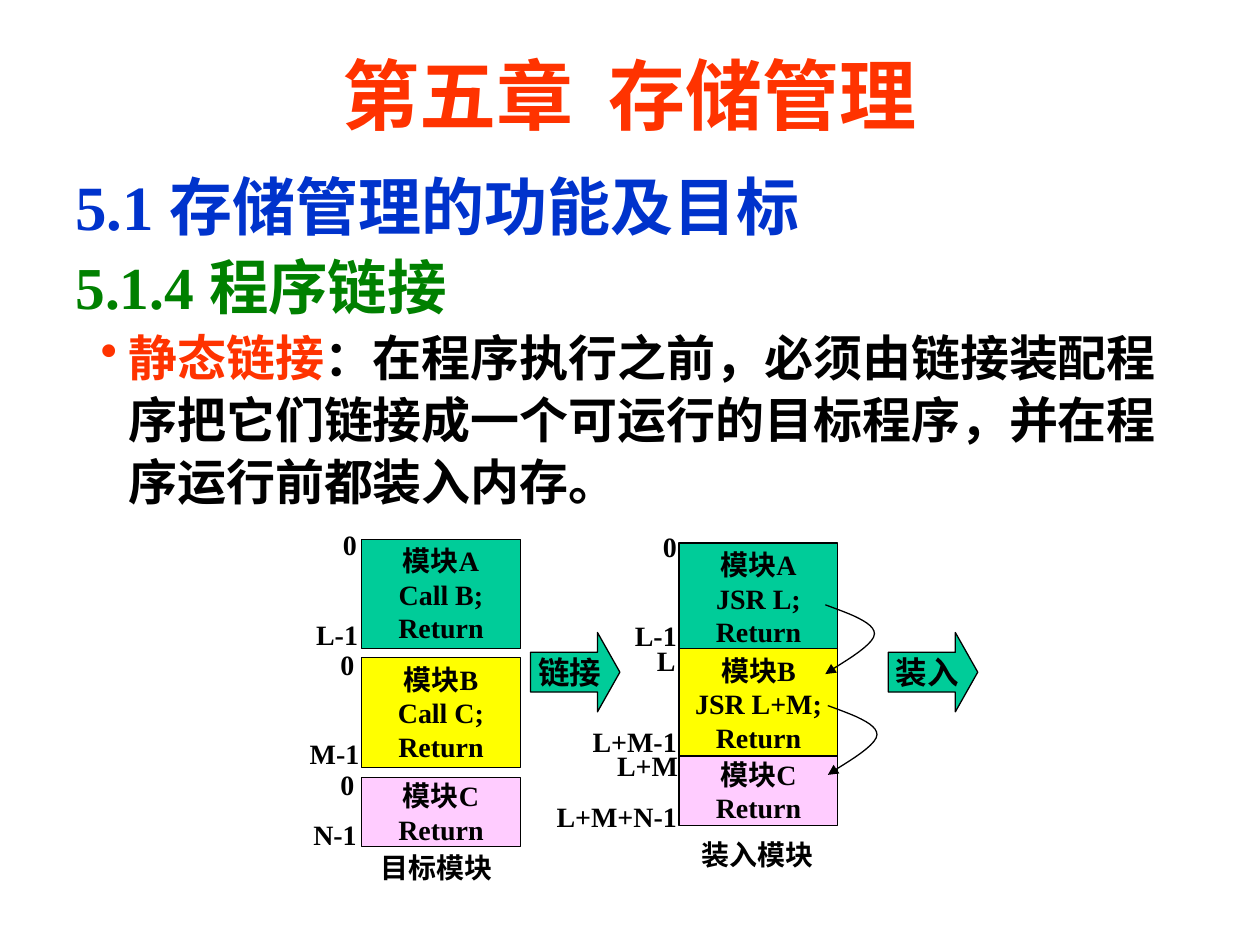
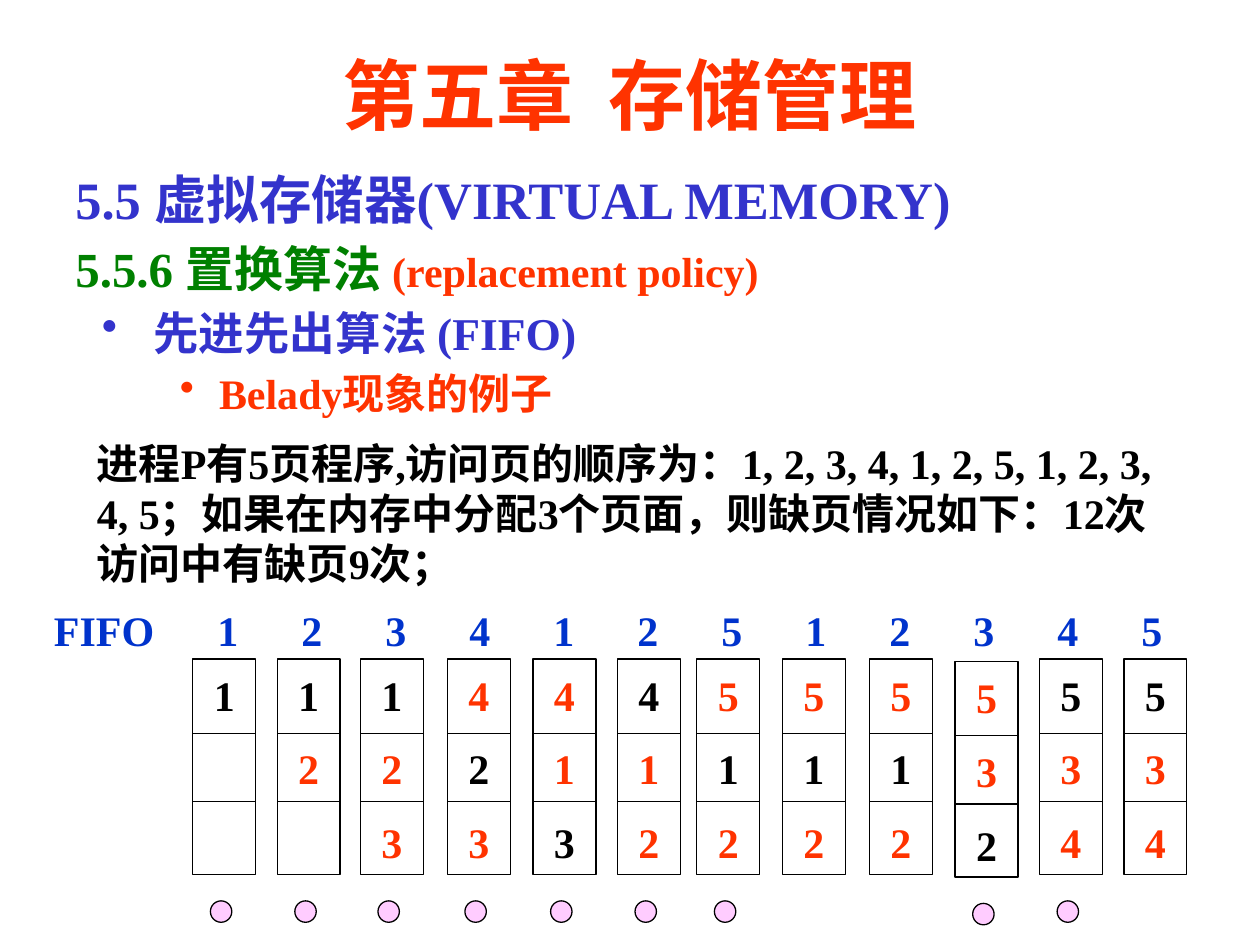
import pptx
import pptx.util
import pptx.dml.color
import pptx.enum.dml
import pptx.enum.lang
import pptx.enum.shapes
import pptx.enum.text
import pptx.oxml
import pptx.oxml.ns
from lxml import etree

Inches = pptx.util.Inches
Pt = pptx.util.Pt
RGBColor = pptx.dml.color.RGBColor
SHAPE = pptx.enum.shapes.MSO_SHAPE
ALIGN = pptx.enum.text.PP_ALIGN
ANCHOR = pptx.enum.text.MSO_ANCHOR
CHINESE = pptx.enum.lang.MSO_LANGUAGE_ID.SIMPLIFIED_CHINESE

FONT = "Times New Roman"
BLACK = RGBColor(0x00, 0x00, 0x00)
RED = RGBColor(0xFF, 0x33, 0x00)
BLUE = RGBColor(0x00, 0x33, 0xCC)
INDIGO = RGBColor(0x33, 0x33, 0xCC)
GREEN = RGBColor(0x00, 0x80, 0x00)
TEAL = RGBColor(0x00, 0xCC, 0x99)
YELLOW = RGBColor(0xFF, 0xFF, 0x00)
PINK = RGBColor(0xFF, 0xCC, 0xFF)
LINE_WIDTH = Pt(0.75)


# Shared helpers
def add_element(parent, tag, **attributes):
    element = etree.SubElement(parent, pptx.oxml.ns.qn(tag))
    for name, value in attributes.items():
        element.set(name, str(value))
    return element


def add_span(para, text, size, color):
    span = para.add_run()
    span.text = text
    font = span.font
    font.name, font.size, font.bold = FONT, Pt(size), True
    font.color.rgb = color
    font.language_id = CHINESE


def next_para(frame, index):
    return frame.add_paragraph() if index else frame.paragraphs[0]


def add_text_box(page, left, top, width, height):
    box = page.shapes.add_textbox(Inches(left), Inches(top), Inches(width), Inches(height))
    box.text_frame.word_wrap = True
    return box.text_frame


def add_label(page, text, left, top, width, height=0.37, size=16, color=BLACK, align=ALIGN.LEFT):
    frame = add_text_box(page, left, top, width, height)
    para = frame.paragraphs[0]
    para.alignment = align
    add_span(para, text, size, color)
    return frame


def outline(shape, fill=None):
    shape.shadow.inherit = False
    if fill is None:
        shape.fill.background()
    else:
        shape.fill.solid()
        shape.fill.fore_color.rgb = fill
    shape.line.color.rgb = BLACK
    shape.line.width = LINE_WIDTH


def add_block(page, kind, left, top, width, height, fill=None, lines=(), size=16):
    """Outlined shape with centred lines of text."""
    shape = page.shapes.add_shape(kind, Inches(left), Inches(top), Inches(width), Inches(height))
    outline(shape, fill)
    frame = shape.text_frame
    frame.word_wrap = False
    frame.vertical_anchor = ANCHOR.MIDDLE
    for index, text in enumerate(lines):
        para = next_para(frame, index)
        para.alignment = ALIGN.CENTER
        add_span(para, text, size, BLACK)
    return shape


def add_title(page):
    frame = add_label(page, "第五章  存储管理", 0.75, 0.28, 8.5, 0.92, 44, RED, ALIGN.CENTER)
    frame.vertical_anchor = ANCHOR.MIDDLE


def add_outline_text(page, width, height, gap, items):
    """Headings and bullets; each item is (level, margin, indent, spans)."""
    frame = add_text_box(page, 0.5, 1.25, width, height)
    for index, (level, margin, indent, spans) in enumerate(items):
        para = next_para(frame, index)
        para.level = level
        para.line_spacing = 1.05
        if index:
            para.space_before = Pt(gap)
        if level:
            properties = para._p.get_or_add_pPr()
            properties.set("marL", str(Inches(margin)))
            properties.set("indent", str(Inches(indent)))
            add_element(properties, "a:buChar", char="•")
        for text, size, color in spans:
            add_span(para, text, size, color)


# Linking diagram
def add_module_stack(page, left, top, modules, labels, caption):
    for x, y, fill, lines in modules:
        height = 0.87 if len(lines) == 3 else 0.55
        add_block(page, SHAPE.RECTANGLE, left + x, top + y, 1.26, height, fill, lines)
    for text, x, y, width in labels:
        add_label(page, text, left + x, top + y, width, align=ALIGN.RIGHT)
    text, x, y = caption
    add_label(page, text, left + x, top + y, 1.21)


def add_step_arrow(page, text, left, top):
    arrow = add_block(page, SHAPE.RIGHT_ARROW, left, top, 0.71, 0.63, TEAL, [text], 18)
    arrow.adjustments[0] = 0.5
    arrow.adjustments[1] = 0.282


def curve_points(start, first, second, end, steps=12):
    for step in range(1, steps + 1):
        t = step / steps
        weights = ((1 - t) ** 3, 3 * t * (1 - t) ** 2, 3 * t * t * (1 - t), t ** 3)
        yield tuple(sum(weight * point[axis] for weight, point
                        in zip(weights, (start, first, second, end))) for axis in (0, 1))


def add_jump_arrow(page, left, top):
    turn = (0.39, 0.23)
    points = [*curve_points((0, 0), (0.19, 0.07), (0.39, 0.14), turn),
              *curve_points(turn, (0.39, 0.33), (0.06, 0.5), (0, 0.55))]
    builder = page.shapes.build_freeform(Inches(left), Inches(top))
    builder.add_line_segments([(Inches(left + x), Inches(top + y)) for x, y in points], close=False)
    curve = builder.convert_to_shape()
    outline(curve)
    add_element(curve.line._get_or_add_ln(), "a:tailEnd", type="triangle")


def build_linking_page(deck):
    page = deck.slides.add_slide(deck.slide_layouts[6])
    add_outline_text(page, 9.08, 2.97, 2, [
        (0, 0, 0, [("5.1 存储管理的功能及目标", 36, BLUE)]),
        (0, 0, 0, [("5.1.4 程序链接", 34, GREEN)]),
        (1, 0.42, -0.22, [
            ("静态链接", 28, RED),
            ("：在程序执行之前，必须由链接装配程序把它们链接成一个可运行的目标程序，"
             "并在程序运行前都装入内存。", 28, BLACK)]),
    ])
    # Object modules
    add_module_stack(
        page, 2.32, 4.14,
        [(0.55, 0.14, TEAL, ["模块A", "Call B;", "Return"]),
         (0.55, 1.08, YELLOW, ["模块B", "Call C;", "Return"]),
         (0.55, 2.03, PINK, ["模块C", "Return"])],
        [("0", 0.14, 0, 0.47), ("0", 0.12, 0.95, 0.47), ("0", 0.12, 1.9, 0.47),
         ("L-1", 0.05, 0.71, 0.57), ("M-1", 0, 1.66, 0.63), ("N-1", 0.04, 2.3, 0.57)],
        ("目标模块", 0.6, 2.56))
    # Load module
    add_module_stack(
        page, 4.29, 4.15,
        [(1.1, 0.16, TEAL, ["模块A", "JSR L;", "Return"]),
         (1.1, 1.0, YELLOW, ["模块B", "JSR L+M;", "Return"]),
         (1.1, 1.85, PINK, ["模块C", "Return"])],
        [("0", 0.71, 0, 0.47), ("L-1", 0.61, 0.71, 0.57), ("L", 0.7, 0.91, 0.47),
         ("L+M-1", 0.08, 1.55, 1.1), ("L+M", 0.32, 1.74, 0.87), ("L+M+N-1", 0, 2.15, 1.18)],
        ("装入模块", 1.18, 2.45))
    add_jump_arrow(page, 6.55, 4.8)
    add_jump_arrow(page, 6.57, 5.6)
    add_step_arrow(page, "链接", 4.21, 5.02)
    add_step_arrow(page, "装入", 7.05, 5.02)
    add_title(page)


# Page replacement trace
def add_reference_row(page, left, top, references):
    frame = add_text_box(page, left, top, 9.25, 0.5)
    para = frame.paragraphs[0]
    stops = add_element(para._p.get_or_add_pPr(), "a:tabLst")
    for index in range(len(references)):
        add_element(stops, "a:tab", pos=Inches(1.38 + index * 2 / 3), algn="ctr")
    add_span(para, "\t".join(["FIFO", *references]), 24, BLUE)


def add_frame_column(page, left, top, pages, fault):
    """Three page frames; a starred page is red, a fault adds a dot."""
    column = add_block(page, SHAPE.RECTANGLE, left, top, 0.5, 1.71)
    frame = column.text_frame
    frame.word_wrap = True
    frame.vertical_anchor = ANCHOR.TOP
    frame.margin_top = Inches(0.08)
    for index, number in enumerate(pages.split()):
        para = next_para(frame, index)
        para.alignment = ALIGN.CENTER
        if index:
            para.space_before = Pt(13.4)
        add_span(para, number.rstrip("*"), 24, RED if "*" in number else BLACK)
    for offset in (0.59, 1.13):
        divider = page.shapes.add_connector(
            pptx.enum.shapes.MSO_CONNECTOR.STRAIGHT, Inches(left), Inches(top + offset),
            Inches(left + 0.5), Inches(top + offset))
        divider.line.color.rgb = BLACK
        divider.line.width = LINE_WIDTH
        add_element(divider._element.spPr, "a:effectLst")
    if fault:
        add_block(page, SHAPE.OVAL, left + 0.14, top + 1.92, 0.17, 0.17, PINK)


def build_replacement_page(deck):
    page = deck.slides.add_slide(deck.slide_layouts[6])
    add_outline_text(page, 9.17, 2.08, 3, [
        (0, 0, 0, [("5.5 虚拟存储器(VIRTUAL MEMORY)", 30, INDIGO)]),
        (0, 0, 0, [("5.5.6 置换算法 ", 28, GREEN), ("(replacement policy)", 24, RED)]),
        (1, 0.62, -0.41, [("先进先出算法 (FIFO)", 26, INDIGO)]),
        (2, 1.14, -0.31, [("Belady现象的例子", 24, RED)]),
    ])
    add_label(page, "进程P有5页程序,访问页的顺序为：1, 2, 3, 4, 1, 2, 5, 1, 2, 3, 4, 5；"
              "如果在内存中分配3个页面，则缺页情况如下：12次访问中有缺页9次；",
              0.67, 3.42, 8.58, 1.3, 24)
    add_reference_row(page, 0.33, 4.75, "123412512345")
    trace = [
        (1.53, 5.23, "1", True), (2.2, 5.23, "1 2*", True),
        (2.86, 5.23, "1 2* 3*", True), (3.55, 5.23, "4* 2 3*", True),
        (4.23, 5.23, "4* 1* 3", True), (4.9, 5.23, "4 1* 2*", True),
        (5.53, 5.23, "5* 1 2*", True), (6.21, 5.23, "5* 1 2*", False),
        (6.9, 5.23, "5* 1 2*", False), (7.58, 5.25, "5* 3* 2", True),
        (8.25, 5.23, "5 3* 4*", True), (8.92, 5.23, "5 3* 4*", False),
    ]
    for left, top, pages, fault in trace:
        add_frame_column(page, left, top, pages, fault)
    add_title(page)


def main():
    deck = pptx.Presentation()
    deck.slide_width, deck.slide_height = Inches(10), Inches(7.5)
    build_linking_page(deck)
    build_replacement_page(deck)
    deck.save("out.pptx")


if __name__ == "__main__":
    main()
